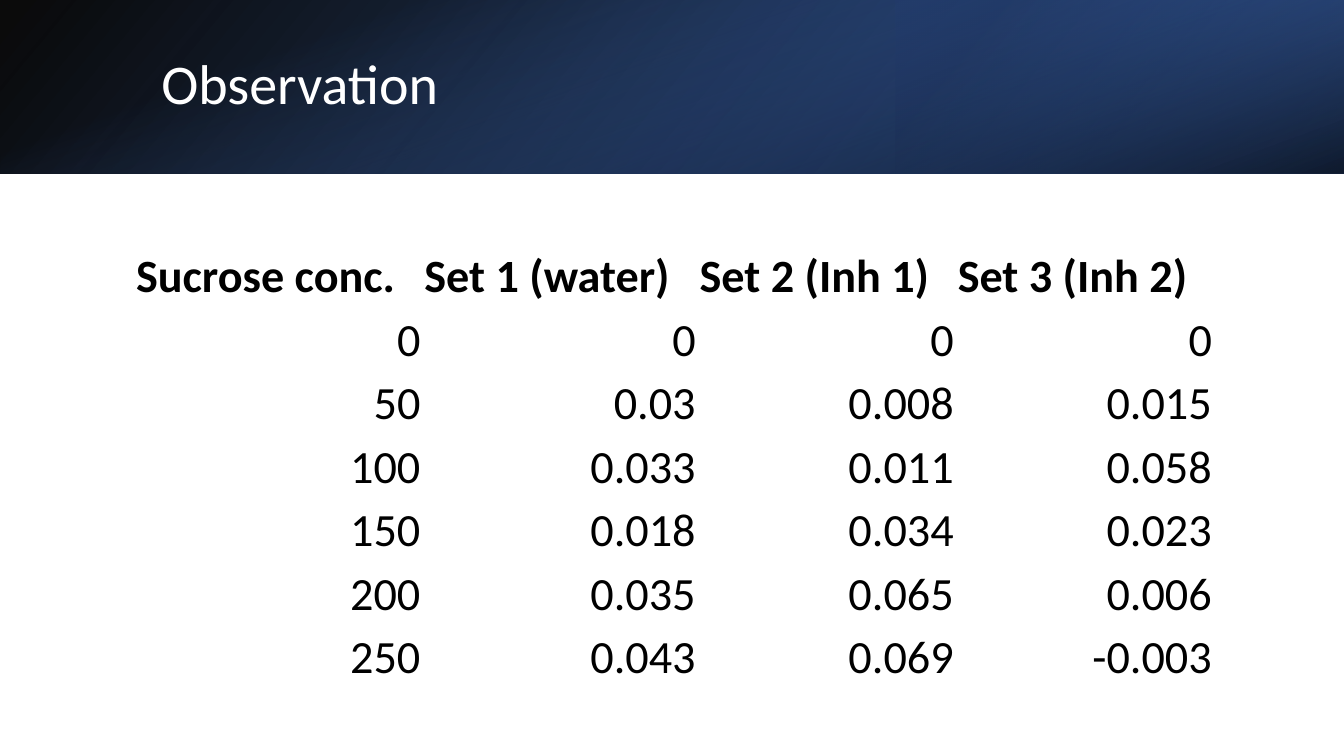
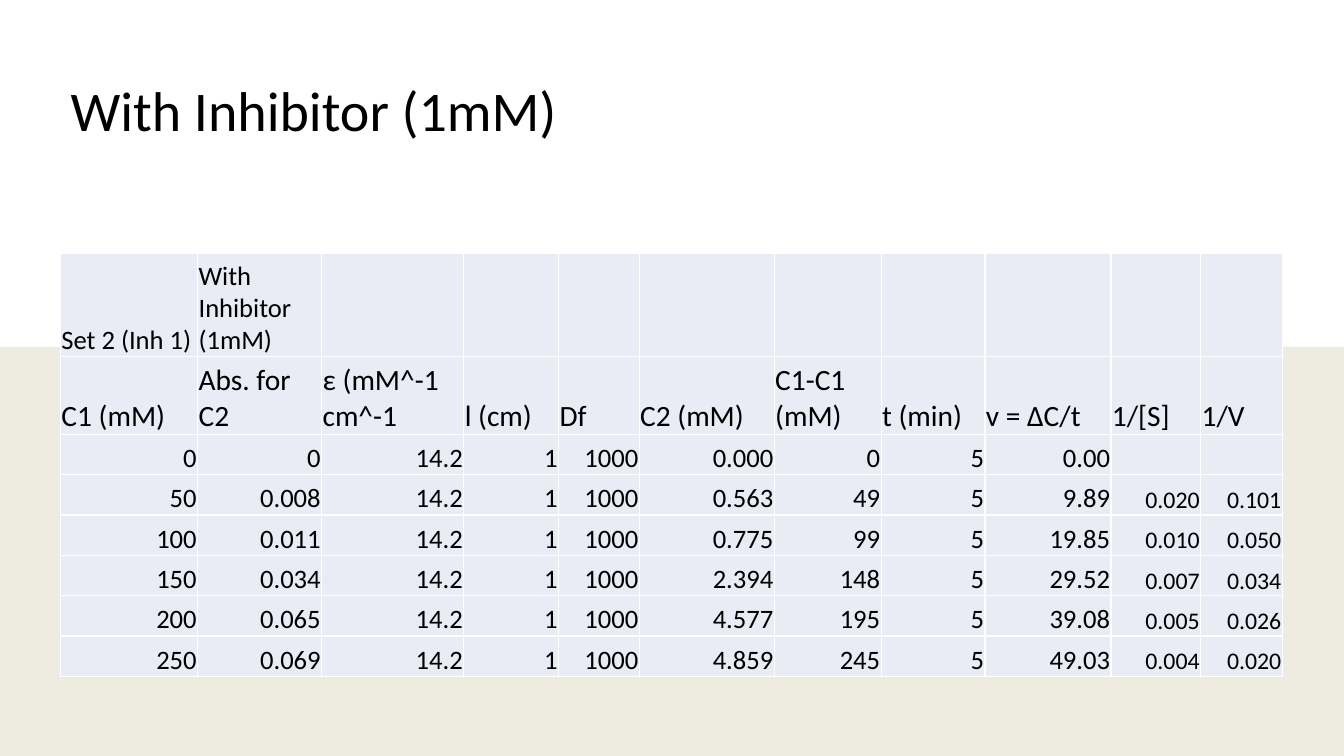
"""Builds two slides of enzyme assay results: raw observations and the inhibitor calculation."""
from lxml import etree
from pptx import Presentation
from pptx.dml.color import RGBColor
from pptx.enum.shapes import MSO_SHAPE
from pptx.enum.text import MSO_ANCHOR, PP_ALIGN
from pptx.oxml.ns import qn
from pptx.util import Inches, Pt

BLACK = RGBColor(0x00, 0x00, 0x00)
WHITE = RGBColor(0xFF, 0xFF, 0xFF)
BLUE = RGBColor(0x44, 0x72, 0xC4)
DEEP_BLUE = RGBColor(0x2F, 0x55, 0x97)
NAVY = RGBColor(0x20, 0x38, 0x64)
GREY = RGBColor(0xF2, 0xF2, 0xF2)
GOLD = RGBColor(0xBF, 0x90, 0x00)
PALE_BLUE = RGBColor(0xE9, 0xEB, 0xF5)
FONT = "Calibri"
WIDTH, HEIGHT = 13.33, 7.5
BAND = 1.72

OBSERVATIONS = [
    ("Sucrose conc.", "Set 1 (water)", "Set 2 (Inh 1)", "Set 3 (Inh 2)"),
    ("0", "0", "0", "0"),
    ("50", "0.03", "0.008", "0.015"),
    ("100", "0.033", "0.011", "0.058"),
    ("150", "0.018", "0.034", "0.023"),
    ("200", "0.035", "0.065", "0.006"),
    ("250", "0.043", "0.069", "-0.003"),
]
OBSERVATION_COLUMNS = [2.86, 2.73, 2.56, 2.56]

EPSILON, PATH_LENGTH, DILUTION, MINUTES = "14.2", "1", "1000", "5"
INHIBITOR_HEAD = [
    ("Set 2 (Inh 1)", "With Inhibitor (1mM)") + ("",) * 9,
    ("C1 (mM)", "Abs. for C2", "ε (mM^-1 cm^-1", "l (cm)", "Df", "C2 (mM)",
     "C1-C1 (mM)", "t (min)", "v = ΔC/t", "1/[S]", "1/V"),
]
INHIBITOR_READINGS = [
    ("0", "0", "0.000", "0", "0.00", "", ""),
    ("50", "0.008", "0.563", "49", "9.89", "0.020", "0.101"),
    ("100", "0.011", "0.775", "99", "19.85", "0.010", "0.050"),
    ("150", "0.034", "2.394", "148", "29.52", "0.007", "0.034"),
    ("200", "0.065", "4.577", "195", "39.08", "0.005", "0.026"),
    ("250", "0.069", "4.859", "245", "49.03", "0.004", "0.020"),
]
INHIBITOR_COLUMNS = [1.36, 1.23, 1.41, 0.94, 0.8, 1.34, 1.06, 1.03, 1.25, 0.89, 0.81]
RECIPROCAL_START = 9

HEADER_GRADIENTS = [
    ((0, 0, WIDTH, BAND), 0, True, 140, [(0, BLACK, 96), (100, DEEP_BLUE, 100)]),
    ((WIDTH * 2 / 3, 0, WIDTH / 3, BAND), 180, True, 320, [(19, NAVY, 68), (100, BLUE, 79)]),
    (((WIDTH - BAND) / 2, (BAND - WIDTH) / 2, BAND, WIDTH), 90, False, 340,
     [(23, BLUE, 0), (99, BLACK, 74)]),
]


def set_opacity(shape, shares):
    """Gives each fill colour of a shape its opacity in percent."""
    for colour, share in zip(shape._element.spPr.iter(qn("a:srgbClr")), shares):
        etree.SubElement(colour, qn("a:alpha")).set("val", str(share * 1000))


def add_panel(shapes, box, colour=None):
    """Adds a borderless rectangle."""
    panel = shapes.add_shape(MSO_SHAPE.RECTANGLE, *map(Inches, box))
    panel.shadow.inherit = False
    panel.line.fill.background()
    if colour is not None:
        panel.fill.solid()
        panel.fill.fore_color.rgb = colour
    return panel


def add_gradient(shapes, box, turn, flipped, angle, stops):
    """Adds a rectangle that fades between two colours."""
    panel = add_panel(shapes, box)
    panel.rotation = turn
    if flipped:
        panel._element.spPr.find(qn("a:xfrm")).set("flipH", "1")
    panel.fill.gradient()
    for stop, (position, colour, _) in zip(panel.fill.gradient_stops, stops):
        stop.position = position / 100
        stop.color.rgb = colour
    set_opacity(panel, [share for _, _, share in stops])
    next(panel._element.spPr.iter(qn("a:lin"))).set("ang", str(angle * 60000))


def write(frame, text, size, colour, bold=False, align=PP_ALIGN.LEFT):
    """Writes one run into the first paragraph of a frame."""
    paragraph = frame.paragraphs[0]
    paragraph.alignment = align
    run = paragraph.add_run()
    run.text = text
    run.font.name, run.font.size, run.font.bold = FONT, Pt(size), bold
    run.font.color.rgb = colour
    return paragraph


def place_title(slide, text, box, colour):
    """Formats the title placeholder and brings it to the front."""
    title = slide.shapes.title
    title.left, title.top, title.width, title.height = map(Inches, box)
    title.text_frame.vertical_anchor = MSO_ANCHOR.MIDDLE
    write(title.text_frame, text, 40, colour).line_spacing = 0.9
    slide.shapes._spTree.append(title._element)


def add_borders(cell):
    """Draws thin white lines around a cell."""
    properties = cell._tc.get_or_add_tcPr()
    for position, side in enumerate(("a:lnL", "a:lnR", "a:lnT", "a:lnB")):
        line = etree.Element(qn(side), w=str(Pt(1)))
        paint = etree.SubElement(line, qn("a:solidFill"))
        etree.SubElement(paint, qn("a:srgbClr")).set("val", str(WHITE))
        properties.insert(position, line)


def add_grid(slide, corner, columns, heights, rows, head_rows, inset, size_at,
             bold_head=False, colour=None):
    """Adds a table with left-aligned head rows and right-aligned figures."""
    extent = (sum(columns), sum(heights))
    grid = slide.shapes.add_table(len(rows), len(columns),
                                  *map(Inches, corner + extent)).table
    grid.first_row = grid.horz_banding = False
    for column, width in zip(grid.columns, columns):
        column.width = Inches(width)
    for r, (texts, height) in enumerate(zip(rows, heights)):
        grid.rows[r].height = Inches(height)
        is_head = r < head_rows
        for c, text in enumerate(texts):
            cell = grid.cell(r, c)
            cell.vertical_anchor = MSO_ANCHOR.BOTTOM
            cell.margin_left = cell.margin_right = cell.margin_top = Inches(inset)
            cell.margin_bottom = 0
            if colour is None:
                cell.fill.background()
            else:
                cell.fill.solid()
                cell.fill.fore_color.rgb = colour
                add_borders(cell)
            if text:
                write(cell.text_frame, text, size_at(r, c), BLACK, bold_head and is_head,
                      PP_ALIGN.LEFT if is_head else PP_ALIGN.RIGHT)


def inhibitor_size(row, column):
    """Returns the text size of a cell in the inhibitor table."""
    if row == 1:
        return 21
    return 17 if row > 1 and column >= RECIPROCAL_START else 19


def build_observation(slide):
    """Builds the slide of raw absorbances."""
    for gradient in HEADER_GRADIENTS:
        add_gradient(slide.shapes, *gradient)
    place_title(slide, "Observation", (1.5, 0.38, 10.98, 0.96), WHITE)
    add_grid(slide, (1.33, 2.4), OBSERVATION_COLUMNS, [0.63] * len(OBSERVATIONS),
             OBSERVATIONS, 1, 0.02, lambda row, column: 33, bold_head=True)


def build_inhibitor(slide):
    """Builds the slide of rates with inhibitor."""
    backdrop = slide.shapes.add_group_shape().shapes
    full = (0, 0, WIDTH, HEIGHT)
    add_panel(backdrop, full, GREY)
    set_opacity(add_panel(backdrop, full, GOLD), [7])
    add_panel(slide.shapes, (0, 0, WIDTH, 3.44), WHITE)
    place_title(slide, "With Inhibitor (1mM)", (0.6, 0.4, 12.13, 1.45), BLACK)
    figures = [(c1, absorbance, EPSILON, PATH_LENGTH, DILUTION, c2, change, MINUTES, *rates)
               for c1, absorbance, c2, change, *rates in INHIBITOR_READINGS]
    add_grid(slide, (0.6, 2.51), INHIBITOR_COLUMNS, [1.03, 0.77] + [0.4] * len(figures),
             INHIBITOR_HEAD + figures, len(INHIBITOR_HEAD), 0.01, inhibitor_size,
             colour=PALE_BLUE)


def main():
    """Builds and saves the presentation."""
    deck = Presentation()
    deck.slide_width, deck.slide_height = Inches(WIDTH), Inches(HEIGHT)
    title_only = deck.slide_layouts[5]
    for build in (build_observation, build_inhibitor):
        build(deck.slides.add_slide(title_only))
    deck.save("out.pptx")


if __name__ == "__main__":
    main()
